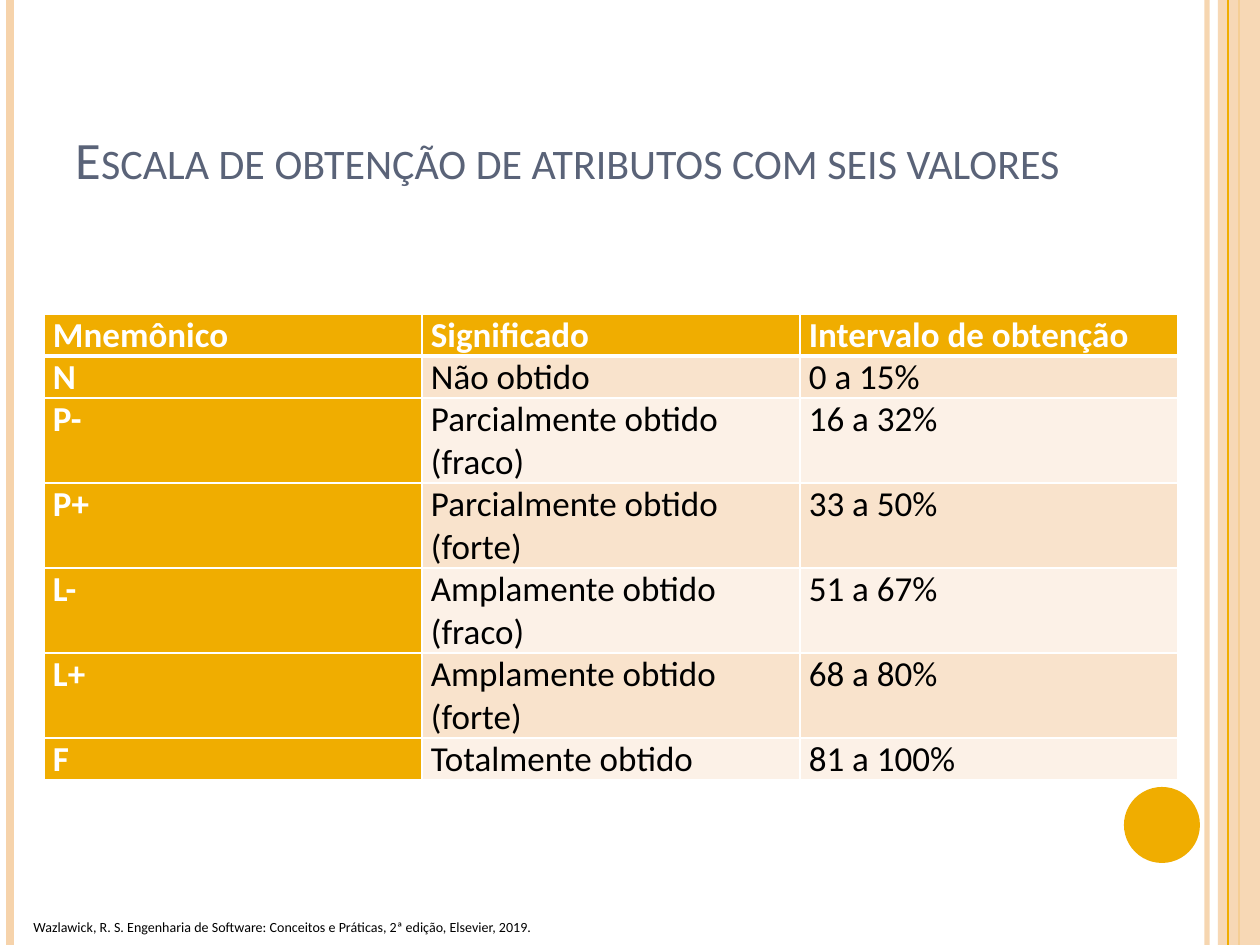
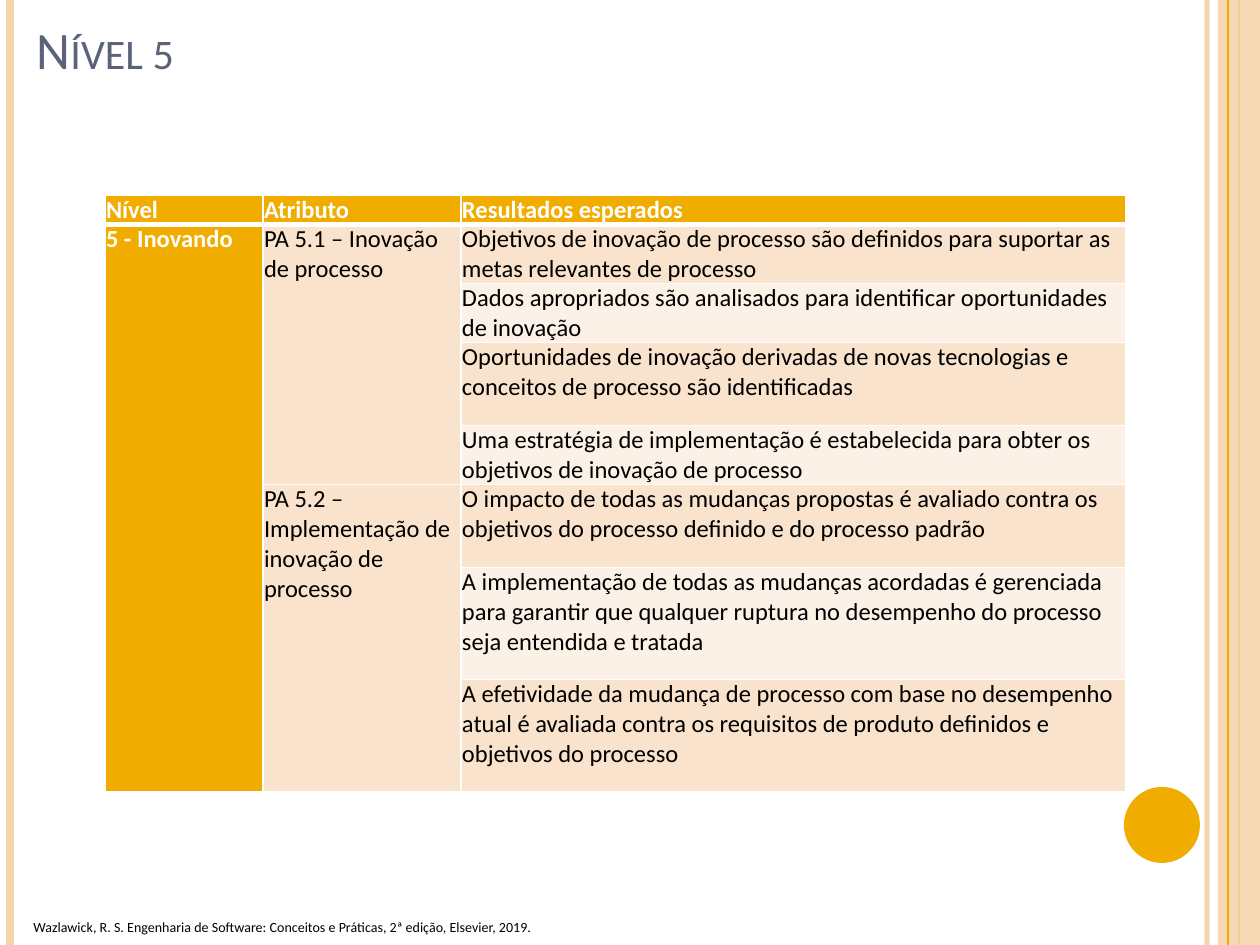
import pptx
import pptx.dml.color
import pptx.enum.shapes
import pptx.enum.text
import pptx.oxml
import pptx.oxml.ns
import pptx.util
import lxml.etree

PX = 7257
GOLD, PEACH, SLATE = "F0AD00", "F6D3AB", "5A6378"
BAND_DARK, BAND_LIGHT = "F9E3CC", "FCF1E7"
WHITE, BLACK = "FFFFFF", "000000"
FOOTER = "Wazlawick, R. S. Engenharia de Software: Conceitos e Práticas, 2ª edição, Elsevier, 2019."
qn = pptx.oxml.ns.qn


def set_color(color_format, color, alpha=100):
    color_format.rgb = pptx.dml.color.RGBColor.from_string(color)
    if alpha < 100:
        clr = color_format._xFill.find(qn("a:srgbClr"))
        lxml.etree.SubElement(clr, qn("a:alpha")).set("val", str(alpha * 1000))


def add_run(p, text, size, color, bold=False):
    r = p.add_run()
    r.text = text
    r.font.name = "Calibri"
    r.font.size = pptx.util.Pt(size)
    r.font.bold = bold
    set_color(r.font.color, color)
    return r


slides = [
    {
        "title": "Escala de obtenção de atributos com seis valores",
        "title_at": (63, 38),
        "table_at": (44, 314),
        "size": 20,
        "inset": 9,
        "cols": [378, 378, 378],
        "heights": [42, 42, 85, 85, 85, 85, 42],
        "rows": [
            ["Mnemônico", "Significado", "Intervalo de obtenção"],
            ["N", "Não obtido", "0 a 15%"],
            ["P-", "Parcialmente obtido (fraco)", "16 a 32%"],
            ["P+", "Parcialmente obtido (forte)", "33 a 50%"],
            ["L-", "Amplamente obtido (fraco)", "51 a 67%"],
            ["L+", "Amplamente obtido (forte)", "68 a 80%"],
            ["F", "Totalmente obtido", "81 a 100%"],
        ],
        "merges": [],
    },
    {
        "title": "Nível 5",
        "title_at": (24, -72),
        "table_at": (105, 195),
        "size": 14,
        "inset": 1,
        "cols": [158, 198, 665],
        "heights": [29, 59, 59, 83, 59, 83, 112, 112],
        "rows": [
            ["Nível", "Atributo", "Resultados esperados"],
            ["5 - Inovando", "PA 5.1 – Inovação de processo",
             "Objetivos de inovação de processo são definidos para suportar as metas relevantes de processo"],
            [None, None,
             "Dados apropriados são analisados para identificar oportunidades de inovação"],
            [None, None,
             "Oportunidades de inovação derivadas de novas tecnologias e conceitos de processo são identificadas"],
            [None, None,
             "Uma estratégia de implementação é estabelecida para obter os objetivos de inovação de processo"],
            [None, "PA 5.2 – Implementação de inovação de processo",
             "O impacto de todas as mudanças propostas é avaliado contra os objetivos do processo definido "
             "e do processo padrão"],
            [None, None,
             "A implementação de todas as mudanças acordadas é gerenciada para garantir que qualquer ruptura "
             "no desempenho do processo seja entendida e tratada"],
            [None, None,
             "A efetividade da mudança de processo com base no desempenho atual é avaliada contra os "
             "requisitos de produto definidos e objetivos do processo"],
        ],
        "merges": [(0, 1, 7), (1, 1, 4), (1, 5, 7)],
    },
]

bands = [
    ("line", 1207, 3, PEACH, 93),
    ("line", 10, 4.5, PEACH, 100),
    ("line", 1239, 1.5, GOLD, 100),
    ("rect", 1218, 42, PEACH, 87),
    ("line", 1228, 0.75, GOLD, 100),
]

prs = pptx.Presentation()
prs.slide_width = 1260 * PX
prs.slide_height = 945 * PX
shape_kind = pptx.enum.shapes.MSO_SHAPE

for data in slides:
    s = prs.slides.add_slide(prs.slide_layouts[5])

    for kind, x, width, color, alpha in bands:
        if kind == "line":
            sp = s.shapes.add_connector(
                pptx.enum.shapes.MSO_CONNECTOR.STRAIGHT, x * PX, 0, x * PX, 945 * PX)
            sp.line.width = pptx.util.Pt(width)
            sp.line.fill.solid()
            set_color(sp.line.fill.fore_color, color)
            if alpha < 100:
                clr = sp.line._ln.find(".//" + qn("a:srgbClr"))
                lxml.etree.SubElement(clr, qn("a:alpha")).set("val", str(alpha * 1000))
            lxml.etree.SubElement(sp._element.spPr, qn("a:effectLst"))
        else:
            sp = s.shapes.add_shape(shape_kind.RECTANGLE, x * PX, 0, width * PX, 945 * PX)
            sp.shadow.inherit = False
            sp.fill.solid()
            set_color(sp.fill.fore_color, color)
            clr = sp._element.spPr.find(".//" + qn("a:srgbClr"))
            lxml.etree.SubElement(clr, qn("a:alpha")).set("val", str(alpha * 1000))
            sp.line.fill.background()

    sp = s.shapes.add_shape(shape_kind.OVAL, 1124 * PX, 787 * PX, 76 * PX, 76 * PX)
    sp.shadow.inherit = False
    sp.fill.solid()
    set_color(sp.fill.fore_color, GOLD)
    sp.line.fill.background()

    sp = s.shapes.add_textbox(21 * PX, 912 * PX, 609 * PX, 30 * PX)
    sp.text_frame.word_wrap = False
    add_run(sp.text_frame.paragraphs[0], FOOTER, 8, BLACK)

    sp = s.shapes.title
    x, y = data["title_at"]
    sp.left, sp.top, sp.width, sp.height = x * PX, y * PX, 1029 * PX, 158 * PX
    tf = sp.text_frame
    tf.word_wrap = True
    tf.auto_size = pptx.enum.text.MSO_AUTO_SIZE.NONE
    tf.vertical_anchor = pptx.enum.text.MSO_ANCHOR.BOTTOM
    p = tf.paragraphs[0]
    p.alignment = pptx.enum.text.PP_ALIGN.LEFT
    r = add_run(p, data["title"], 30, SLATE)
    r.font._element.set("cap", "small")

    x, y = data["table_at"]
    rows, cols, heights = data["rows"], data["cols"], data["heights"]
    table = s.shapes.add_table(
        len(rows), len(cols), x * PX, y * PX, sum(cols) * PX, sum(heights) * PX).table
    table.horz_banding = False
    for column, width in zip(table.columns, cols):
        column.width = width * PX
    for row, height in zip(table.rows, heights):
        row.height = height * PX

    for i, texts in enumerate(rows):
        for j, text in enumerate(texts):
            cell = table.cell(i, j)
            cell.margin_left = cell.margin_right = data["inset"] * PX
            cell.margin_top = cell.margin_bottom = 0
            tcPr = cell._tc.get_or_add_tcPr()
            for side in "LRTB":
                thick = (i, side) in [(0, "B"), (1, "T")]
                ln = lxml.etree.SubElement(tcPr, qn("a:ln" + side), w=str(38100 if thick else 12700))
                fill = lxml.etree.SubElement(ln, qn("a:solidFill"))
                lxml.etree.SubElement(fill, qn("a:srgbClr"), val=WHITE)
            head = i == 0 or j == 0
            cell.fill.solid()
            set_color(cell.fill.fore_color, GOLD if head else BAND_DARK if i % 2 else BAND_LIGHT)
            if text:
                add_run(cell.text_frame.paragraphs[0], text, data["size"],
                        WHITE if head else BLACK, head)
    for j, first, last in data["merges"]:
        table.cell(first, j).merge(table.cell(last, j))

prs.save("out.pptx")
